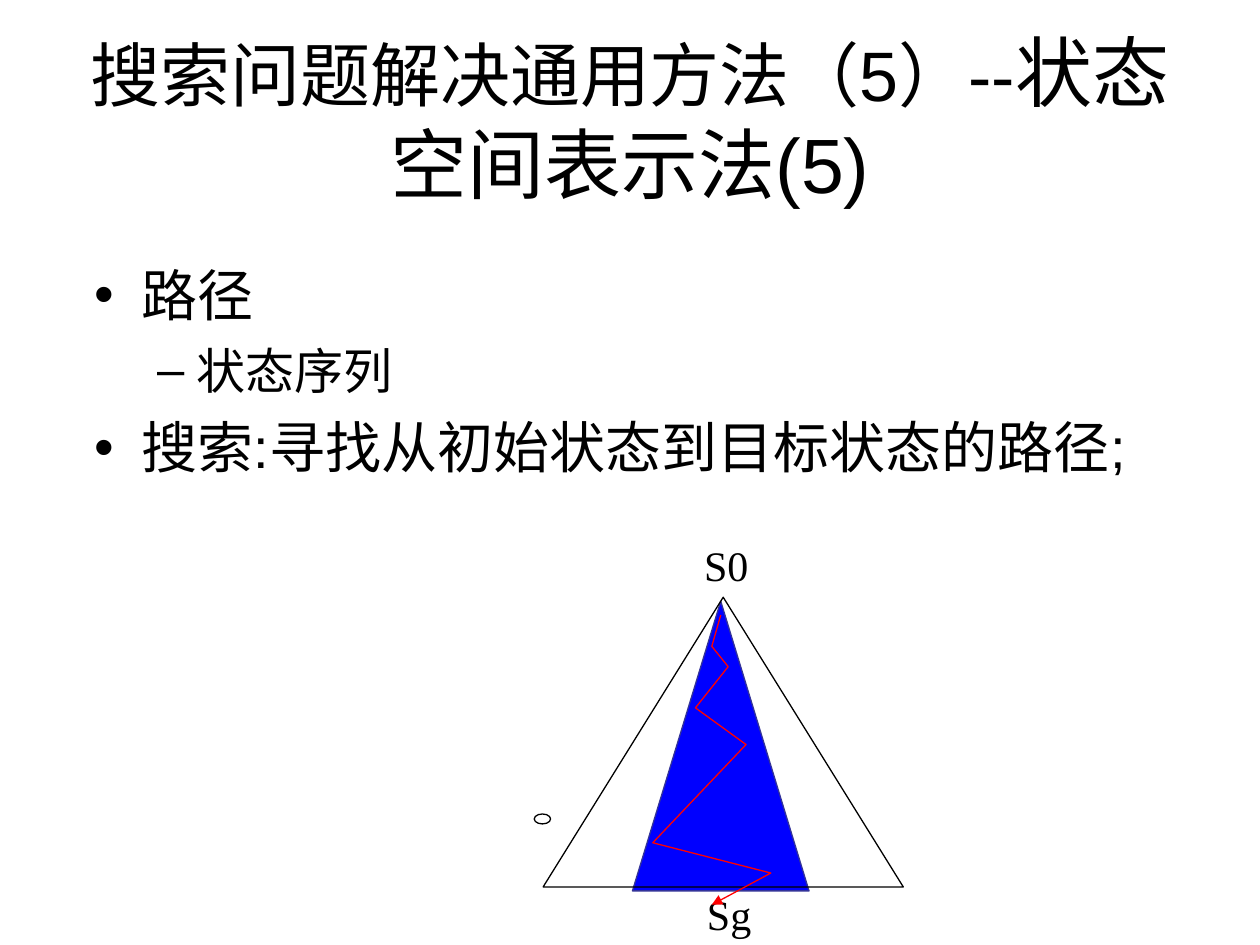
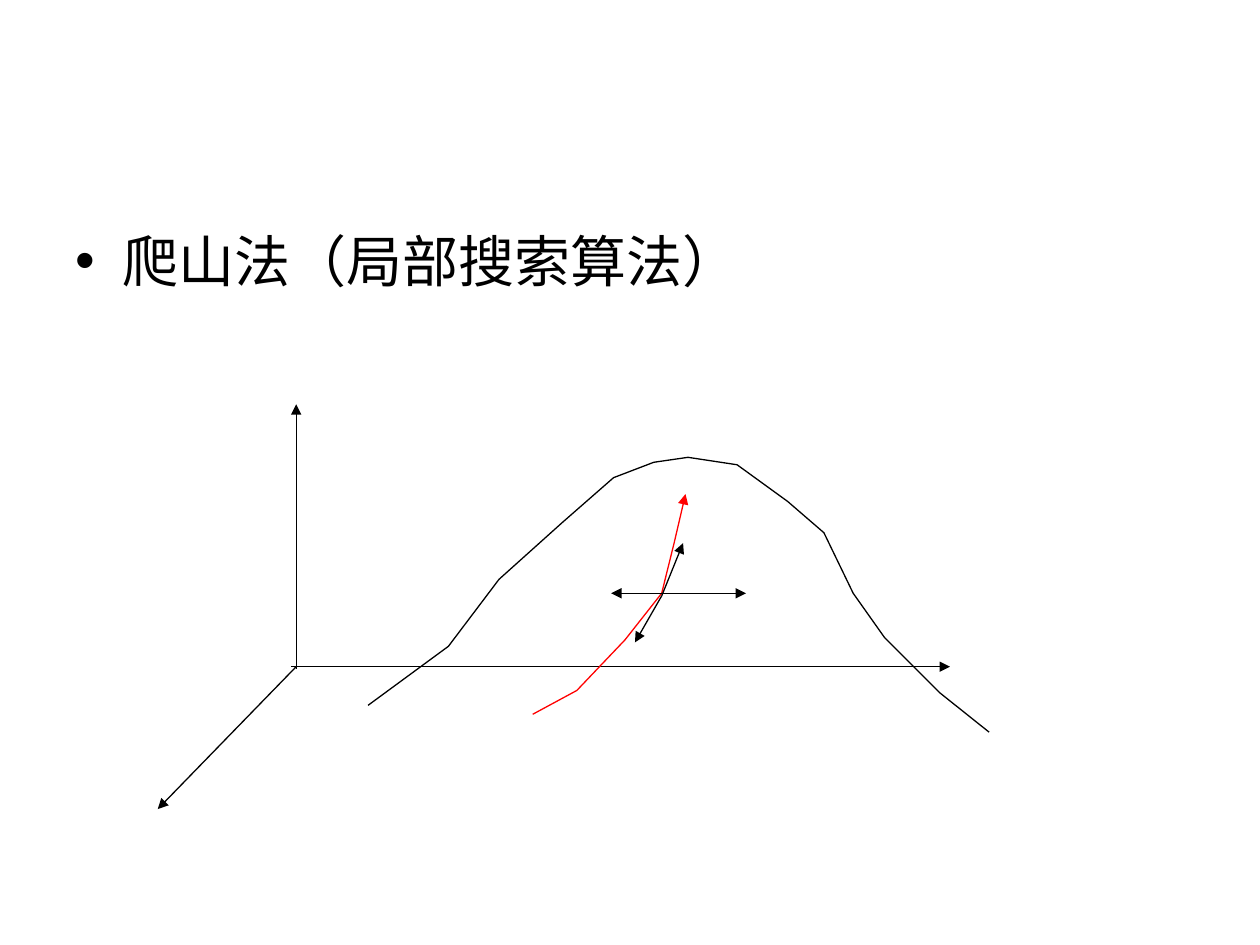
from lxml import etree
from pptx import Presentation
from pptx.dml.color import RGBColor
from pptx.enum.shapes import MSO_CONNECTOR, MSO_SHAPE
from pptx.enum.text import MSO_ANCHOR, MSO_AUTO_SIZE, PP_ALIGN
from pptx.oxml.ns import qn
from pptx.util import Cm, Pt

BLACK, WHITE, RED, BLUE, NAVY = "000000", "FFFFFF", "FF0000", "0000FF", "333399"
SANS, SERIF = "Arial", "Times New Roman"
# Per level: bullet, text indent (cm), hanging (cm), size, space before
LEVELS = [("•", 0.95, 0.95, 32, 8), ("–", 2.06, 0.79, 28, 7)]


def color(hex_value):
    return RGBColor.from_string(hex_value)


def style_font(font, size, name=SANS):
    font.size, font.name = Pt(size), name
    font.color.rgb = color(BLACK)


def style_line(s, line_color, arrow=False):
    s.line.color.rgb = color(line_color)
    s.line.width = Pt(0.75)
    if arrow:
        etree.SubElement(s.line._get_or_add_ln(), qn("a:tailEnd"), type="triangle")


def add_text_box(slide, box, wrap=True):
    tf = slide.shapes.add_textbox(*map(Cm, box)).text_frame
    tf.word_wrap = wrap
    return tf


def add_title(slide, box, parts):
    tf = add_text_box(slide, box)
    tf.vertical_anchor = MSO_ANCHOR.MIDDLE
    p = tf.paragraphs[0]
    p.alignment = PP_ALIGN.CENTER
    for text, size in parts:
        r = p.add_run()
        r.text = text
        style_font(r.font, size)


def add_bullets(slide, box, items):
    tf = add_text_box(slide, box)
    for i, (level, text) in enumerate(items):
        bullet, indent, hanging, size, before = LEVELS[level]
        p = tf.add_paragraph() if i else tf.paragraphs[0]
        p.text, p.level = text, level
        p.space_before = Pt(before if i else 0)
        p_pr = p._p.get_or_add_pPr()
        p_pr.set("marL", str(Cm(indent)))
        p_pr.set("indent", str(-Cm(hanging)))
        bullet_color = etree.SubElement(p_pr, qn("a:buClr"))
        etree.SubElement(bullet_color, qn("a:srgbClr"), val=BLACK)
        etree.SubElement(p_pr, qn("a:buFont"), typeface=SANS)
        etree.SubElement(p_pr, qn("a:buChar"), char=bullet)
        style_font(p.runs[0].font, size)


def add_label(slide, box, text):
    tf = add_text_box(slide, box, wrap=False)
    tf.auto_size = MSO_AUTO_SIZE.SHAPE_TO_FIT_TEXT
    tf.vertical_anchor = MSO_ANCHOR.MIDDLE
    tf.text = text
    p = tf.paragraphs[0]
    p.alignment = PP_ALIGN.CENTER
    style_font(p.runs[0].font, 24, SERIF)


def add_outline(slide, preset, box, fill=None, line_color=BLACK):
    s = slide.shapes.add_shape(preset, *map(Cm, box))
    s.shadow.inherit = False
    if fill:
        s.fill.solid()
        s.fill.fore_color.rgb = color(fill)
    else:
        s.fill.background()
    style_line(s, line_color)


def add_path(slide, left, top, points, line_color=BLACK, arrow=False):
    points = [(Cm(left + x), Cm(top + y)) for x, y in points]
    builder = slide.shapes.build_freeform(*points[0])
    builder.add_line_segments(points[1:], close=False)
    s = builder.convert_to_shape()
    s.shadow.inherit = False
    s.fill.background()
    style_line(s, line_color, arrow)


def add_arrow(slide, left, top, start, end):
    s = slide.shapes.add_connector(
        MSO_CONNECTOR.STRAIGHT, Cm(left + start[0]), Cm(top + start[1]),
        Cm(left + end[0]), Cm(top + end[1]))
    style_line(s, BLACK, arrow=True)
    etree.SubElement(s._element.spPr, qn("a:effectLst"))


def add_search_tree(slide, left, top):
    # Searched part inside the whole state space
    triangle = MSO_SHAPE.ISOSCELES_TRIANGLE
    add_outline(slide, triangle, (left + 1.98, top + 1.38, 3.56, 5.84), BLUE, NAVY)
    add_outline(slide, triangle, (left + 0.18, top + 1.3, 7.26, 5.84))
    add_outline(slide, MSO_SHAPE.OVAL, (left, top + 5.67, 0.33, 0.2), WHITE)
    # Start and goal states
    add_label(slide, (left + 3.17, top, 1.4, 1.27), "S0")
    add_label(slide, (left + 3.23, top + 7.04, 1.4, 1.27), "Sg")
    # Route from start to goal
    route = [(3.76, 1.66), (3.58, 2.29), (3.91, 2.7), (3.25, 3.53),
             (4.27, 4.27), (2.39, 6.25), (4.77, 6.86), (3.58, 7.5)]
    add_path(slide, left, top, route, RED, arrow=True)


def add_hill_climb(slide, left, top):
    # Three axes
    origin = (2.79, 5.29)
    for start, end in [((2.69, 5.29), (15.97, 5.29)),
                       ((2.79, 5.34), (2.79, 0)),
                       (origin, (0, 8.16))]:
        add_arrow(slide, left, top, start, end)
    # Hill and the climb towards its top
    hill = [(4.24, 6.07), (5.86, 4.88), (6.88, 3.53), (8.15, 2.39), (9.19, 1.48),
            (10, 1.17), (10.69, 1.07), (11.68, 1.22), (12.7, 1.96), (13.43, 2.59),
            (14.02, 3.81), (14.65, 4.7), (15.77, 5.82), (16.76, 6.61)]
    climb = [(7.56, 6.25), (8.45, 5.77), (9.42, 4.75),
             (10.16, 3.81), (10.41, 2.8), (10.64, 1.81)]
    add_path(slide, left, top, hill)
    add_path(slide, left, top, climb, RED, arrow=True)
    # Possible moves from the current point
    for start_y, end in [(3.81, (11.86, 3.81)), (3.86, (10.59, 2.8)),
                         (3.86, (9.62, 4.8)), (3.81, (9.14, 3.81))]:
        add_arrow(slide, left, top, (10.16, start_y), end)


def build_state_space_slide(slide):
    add_title(slide, (1.27, 0.76, 22.86, 3.18),
              [("搜索问题解决通用方法（5）--", 40), ("状态空间表示法(5)", 44)])
    add_bullets(slide, (1.65, 5.13, 22, 10.97),
                [(0, "路径"), (1, "状态序列"),
                 (0, "搜索:寻找从初始状态到目标状态的路径;")])
    add_search_tree(slide, 10.77, 10.74)


def build_hill_climbing_slide(slide):
    add_bullets(slide, (1.27, 4.45, 22.86, 2.08), [(0, "爬山法（局部搜索算法）")])
    add_hill_climb(slide, 3.18, 8.15)


def main():
    prs = Presentation()
    prs.slide_width, prs.slide_height = Cm(25.4), Cm(19.05)
    for build in (build_state_space_slide, build_hill_climbing_slide):
        build(prs.slides.add_slide(prs.slide_layouts[6]))
    prs.save("out.pptx")


if __name__ == "__main__":
    main()
